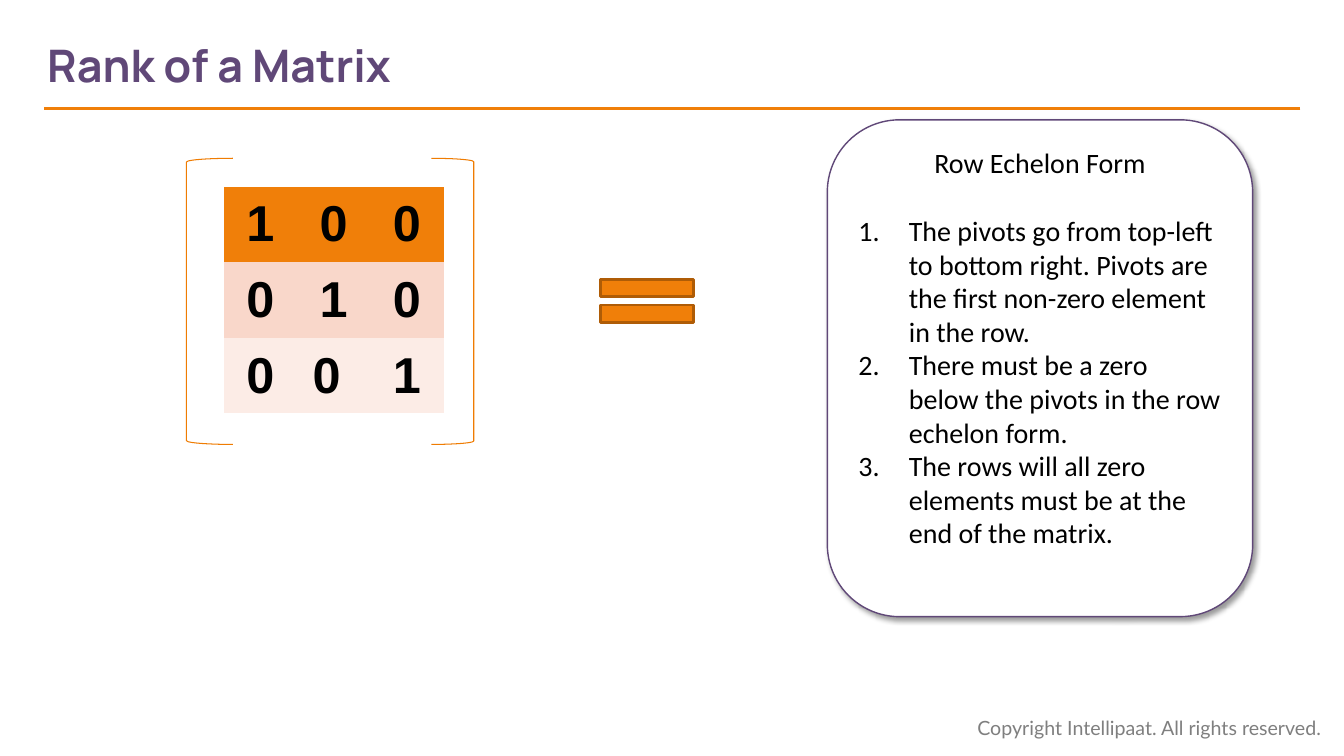
from lxml.etree import SubElement
from pptx import Presentation
from pptx.dml.color import RGBColor
from pptx.enum.shapes import MSO_CONNECTOR, MSO_SHAPE
from pptx.enum.text import MSO_ANCHOR, MSO_AUTO_SIZE, PP_ALIGN
from pptx.oxml import parse_xml
from pptx.oxml.ns import qn
from pptx.util import Cm, Pt

COLORS = {
    "orange": "F07F09", "edge": "AF5C06", "bracket": "EF7C02",
    "purple": "604878", "gray": "7F7F7F", "black": "000000",
    "white": "FFFFFF", "pink": "F9D7CA", "pale": "FCECE6",
}
NO_GRID = "{2D5ABB26-0587-4C30-8999-92F81FD0307C}"
SHADOW = (
    '<a:outerShdw xmlns:a="http://schemas.openxmlformats.org/drawingml/2006/main"'
    ' blurRad="50800" dist="38100" dir="2700000" algn="tl" rotWithShape="0">'
    '<a:srgbClr val="000000"><a:alpha val="40000"/></a:srgbClr></a:outerShdw>'
)
STYLES = {
    "title": ({"name": "Manrope", "size": Pt(32), "bold": True}, "purple"),
    "body": ({"name": "Calibri", "size": Pt(20), "bold": False}, "black"),
    "cell": ({"name": "Arial", "size": Pt(36), "bold": True}, "black"),
    "foot": ({"name": "Lato", "size": Pt(14), "bold": False}, "gray"),
}


def color(name):
    return RGBColor.from_string(COLORS[name])


def assign(item, values):
    for key, value in values.items():
        setattr(item, key, value)


def place(item, box):
    assign(item, dict(zip(("left", "top", "width", "height"), map(Cm, box))))


class Deck:
    def __init__(self):
        self.file = Presentation()
        assign(self.file, {"slide_width": Cm(33.87), "slide_height": Cm(19.05)})
        self.slide = self.file.slides.add_slide(self.file.slide_layouts[1])
        self.shapes = self.slide.shapes

    def say(self, par, text, style, align=PP_ALIGN.LEFT):
        font, ink = STYLES[style]
        assign(par, {"alignment": align, "line_spacing": 1.0, "space_before": Pt(0)})
        run = par.add_run()
        run.text = text
        assign(run.font, font)
        run.font.color.rgb = color(ink)

    def title(self, text, box):
        item = self.shapes.title
        place(item, box)
        assign(item.text_frame, {
            "word_wrap": True, "auto_size": MSO_AUTO_SIZE.NONE,
            "vertical_anchor": MSO_ANCHOR.MIDDLE, "margin_left": 0})
        self.say(item.text_frame.paragraphs[0], text, "title")

    def note(self, text, box):
        frame = self.shapes.add_textbox(*map(Cm, box)).text_frame
        frame.word_wrap = True
        self.say(frame.paragraphs[0], text, "foot")

    def rule(self, ends, ink, width):
        line = self.shapes.add_connector(MSO_CONNECTOR.STRAIGHT, *map(Cm, ends))
        line.line.color.rgb = color(ink)
        line.line.width = Pt(width)
        SubElement(line._element.spPr, qn("a:effectLst"))

    def shape(self, kind, box, ink, width, adjust, fill=None):
        item = self.shapes.add_shape(kind, *map(Cm, box))
        item.shadow.inherit = False
        for spot, value in enumerate(adjust):
            item.adjustments[spot] = value
        if fill:
            item.fill.solid()
            item.fill.fore_color.rgb = color(fill)
        else:
            item.fill.background()
        item.line.color.rgb = color(ink)
        item.line.width = Pt(width)
        return item

    def matrix(self, rows, fills, box):
        frame = self.shapes.add_table(len(rows), len(rows[0]), *map(Cm, box))
        table = frame.table
        assign(table, {"first_row": False, "horz_banding": False})
        next(frame._element.iter(qn("a:tableStyleId"))).text = NO_GRID
        for r, (row, fill) in enumerate(zip(rows, fills)):
            for c, text in enumerate(row):
                cell = table.cell(r, c)
                cell.vertical_anchor = MSO_ANCHOR.MIDDLE
                cell.fill.solid()
                cell.fill.fore_color.rgb = color(fill)
                par = cell.text_frame.paragraphs[0]
                self.say(par, text, "cell", PP_ALIGN.CENTER)

    def card(self, head, box):
        item = self.shape(MSO_SHAPE.ROUNDED_RECTANGLE, box, "purple", 1, [0.17], "white")
        item._element.spPr.find(qn("a:effectLst")).append(parse_xml(SHADOW))
        frame = item.text_frame
        assign(frame, {"word_wrap": True, "vertical_anchor": MSO_ANCHOR.TOP})
        self.say(frame.paragraphs[0], head, "body", PP_ALIGN.CENTER)
        return item

    def steps(self, texts, box, back):
        item = self.slide.placeholders[1]
        place(item, box)
        back._element.addnext(item._element)  # list sits in front of its card
        frame = item.text_frame
        assign(frame, {"word_wrap": True, "auto_size": MSO_AUTO_SIZE.NONE,
                       "vertical_anchor": MSO_ANCHOR.TOP})
        for n, text in enumerate(texts):
            par = frame.add_paragraph() if n else frame.paragraphs[0]
            props = par._p.get_or_add_pPr()
            props.set("marL", str(Cm(1.27)))
            props.set("indent", str(Cm(-1.27)))
            SubElement(props, qn("a:buFont"), typeface="+mj-lt")
            SubElement(props, qn("a:buAutoNum"), type="arabicPeriod")
            self.say(par, text, "body")


def main():
    deck = Deck()

    # Header and footer
    deck.note("Copyright Intellipaat. All rights reserved.", (24.38, 17.91, 9.32, 0.86))
    deck.rule((32.77, 2.74, 1.12, 2.74), "orange", 2.25)
    deck.title("Rank of a Matrix", (1.19, 0.56, 24.05, 2.13))

    # Matrix between its brackets
    for kind, left, width in ((MSO_SHAPE.LEFT_BRACKET, 4.7, 1.17),
                              (MSO_SHAPE.RIGHT_BRACKET, 10.87, 1.07)):
        deck.shape(kind, (left, 3.99, width, 7.21), "bracket", 0.75, [0.08])
    deck.matrix((("1", "0", "0"), ("0", "1", "0"), ("0", "0 ", "1")),
                ("orange", "pink", "pale"), (5.64, 4.7, 5.54, 5.72))

    # Equal sign
    deck.shape(MSO_SHAPE.MATH_EQUAL, (14.71, 6.68, 3.2, 1.8), "edge", 2,
               [0.24, 0.12], "orange")

    # Rules of the row echelon form
    card = deck.card("Row Echelon Form", (20.85, 3.02, 10.72, 12.52))
    deck.steps((
        "The pivots go from top-left to bottom right. Pivots are the first "
        "non-zero element in the row.",
        "There must be a zero below the pivots in the row echelon form.",
        "The rows will all zero elements must be at the end of the matrix.",
    ), (21.38, 5.25, 9.67, 9.6), card)

    deck.file.save("out.pptx")


if __name__ == "__main__":
    main()
